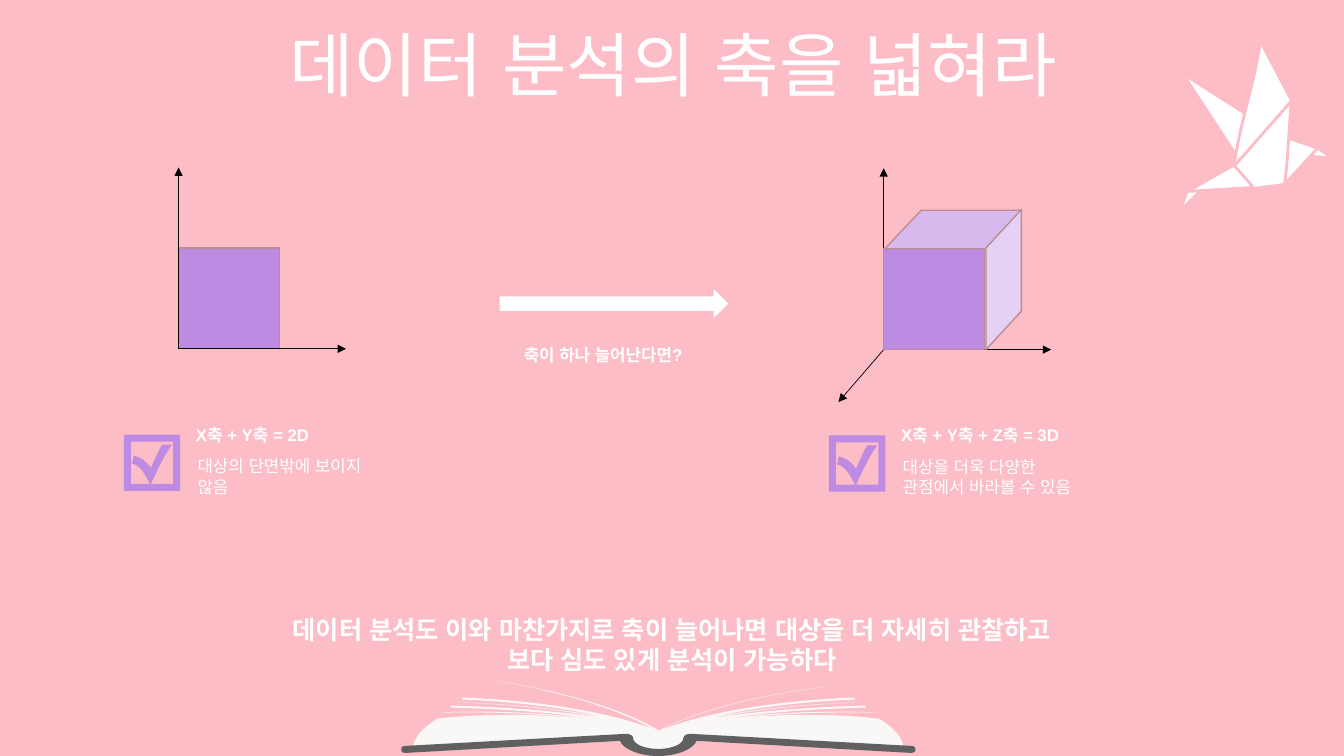
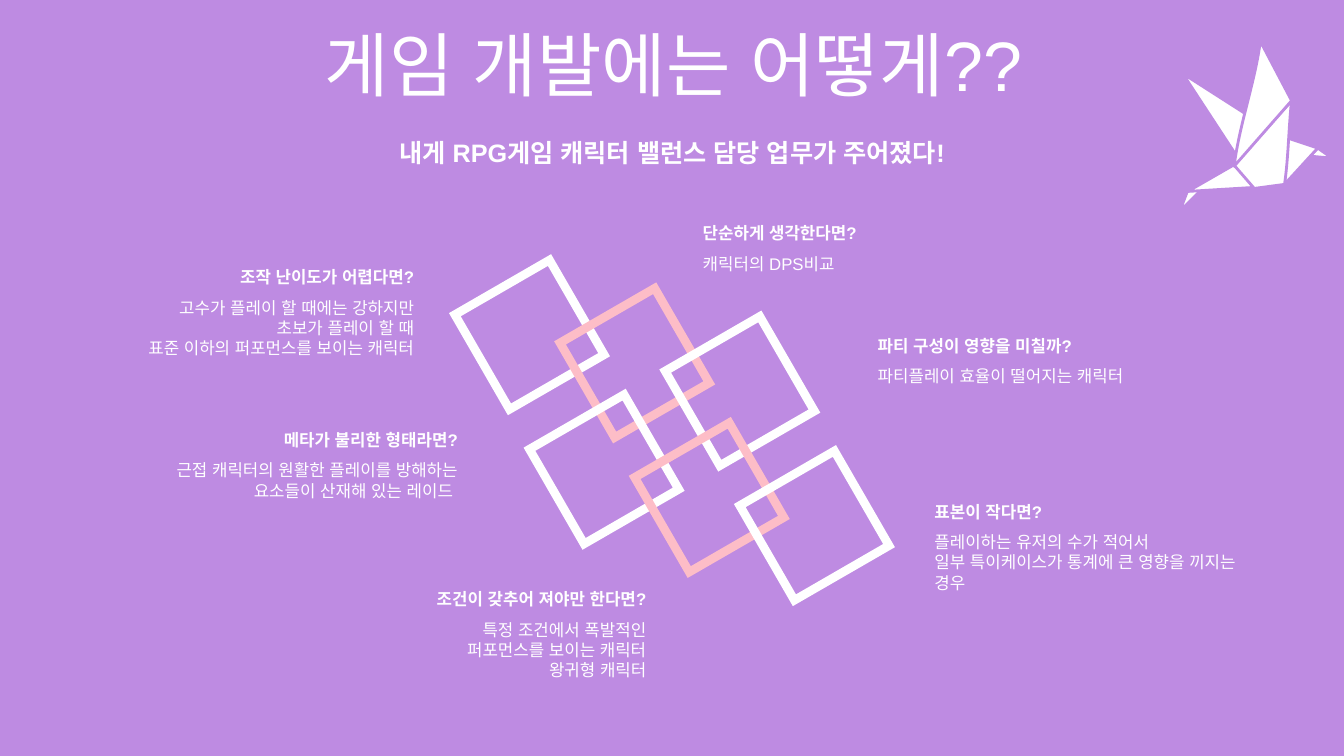
from dataclasses import dataclass

from lxml.etree import SubElement
from pptx import Presentation
from pptx.dml.color import RGBColor
from pptx.enum.shapes import MSO_CONNECTOR, MSO_SHAPE as Shape
from pptx.enum.text import MSO_ANCHOR, PP_ALIGN as Align
from pptx.oxml.ns import qn
from pptx.util import Cm, Pt


@dataclass(frozen=True)
class Theme:
    pink: str = "FDBDC7"
    purple: str = "BE8BE2"
    top_face: str = "D8B9EE"
    side_face: str = "E5D1F3"
    edge: str = "BB8C93"
    white: str = "FFFFFF"
    black: str = "000000"
    paper: str = "F9F8F7"
    cover: str = "606060"
    font: str = "Arial"
    title: int = 50
    lead: int = 18
    body: int = 12


T = Theme()
WIDTH, HEIGHT = 33.87, 19.05
UNIT = Cm(0.0254)  # grid step of the outlines below

# Content: lengths in cm
AXES_TITLE = "데이터 분석의 축을 넓혀라"
QUESTION = "축이 하나 늘어난다면?"
CONCLUSION = ["데이터 분석도 이와 마찬가지로 축이 늘어나면 대상을 더 자세히 관찰하고",
              "보다 심도 있게 분석이 가능하다"]
SQUARE_NOTE = ("X축 + Y축 = 2D", "대상의 단면밖에 보이지 않음")
CUBE_NOTE = ("X축 + Y축 + Z축 = 3D", "대상을 더욱 다양한 관점에서 바라볼 수 있음")

GAME_TITLE = "게임 개발에는 어떻게??"
GAME_LEAD = "내게 RPG게임 캐릭터 밸런스 담당 업무가 주어졌다!"
GAME_NOTES = [  # left, top, alignment, heading, lines
    (17.46, 5.49, Align.LEFT, "단순하게 생각한다면?", ["캐릭터의 DPS비교"]),
    (21.87, 8.33, Align.LEFT, "파티 구성이 영향을 미칠까?",
     ["파티플레이 효율이 떨어지는 캐릭터"]),
    (2.7, 10.7, Align.RIGHT, "메타가 불리한 형태라면?",
     ["근접 캐릭터의 원활한 플레이를 방해하는 요소들이 산재해 있는 레이드 "]),
    (7.45, 14.71, Align.RIGHT, "조건이 갖추어 져야만 한다면?",
     ["특정 조건에서 폭발적인", "퍼포먼스를 보이는 캐릭터", "왕귀형 캐릭터"]),
    (1.6, 6.6, Align.RIGHT, "조작 난이도가 어렵다면?",
     ["고수가 플레이 할 때에는 강하지만", "초보가 플레이 할 때",
      "표준 이하의 퍼포먼스를 보이는 캐릭터"]),
    (23.3, 12.51, Align.LEFT, "표본이 작다면?",
     ["플레이하는 유저의 수가 적어서",
      "일부 특이케이스가 통계에 큰 영향을 끼지는 경우"]),
]

# Outlines in grid units: a pair is a corner, six numbers are a Bézier curve
BIRD = [
    [(23, 146), (0, 169), (8, 148)],
    [(8, 149), (55, 122), (74, 145)],
    [(137, 106), (151, 116), (129, 114)],
    [(107, 96), (137, 106), (104, 142)],
    [(3, 32), (67, 73), (56, 113)],
    [(74, 146), (104, 142), (108, 115, 108, 86, 111, 59), (54, 123)],
    [(111, 59), (80, 0), (75, 40, 59, 83, 54, 124)],
]
TICK_BOX = [
    [(7, 7), (7, 49), (26, 49), (22, 42, 17, 30, 8, 29), (10, 21),
     (20, 24, 22, 27, 27, 33), (31, 24, 33, 19, 38, 10), (48, 10),
     (40, 21, 33, 36, 27, 49), (49, 49), (49, 7)],
    [(0, 0), (56, 0), (56, 56), (0, 56)],
]
HALF_PAGES = [(0, -23), (80, -46, 181, -42, 219, -37),
              (219, -37, 242, -25, 244, -7), (32, -20),
              (32, -11, 18, -4, 0, -4)]
HALF_COVER = [(0, 0), (19, 0, 35, -7, 38, -15), (251, -3),
              (253, -3, 255, -4, 255, -5), (255, -8),
              (255, -9, 253, -10, 251, -10), (32, -22),
              (28, -22, 25, -20, 25, -18), (25, -12, 14, -7, 0, -7)]
LOWER_LEAVES = [(6, -27), (14, -30, 28, -35, 49, -40),
                (80, -47, 124, -55, 194, -58), (195, -56),
                (125, -53, 82, -45, 51, -38), (42, -36),
                (120, -53, 202, -53, 203, -53),
                (202, -53, 116, -52, 38, -34), (47, -36),
                (78, -42, 130, -48, 206, -50), (206, -48),
                (131, -46, 79, -40, 49, -34), (47, -34),
                (124, -47, 212, -44, 214, -43),
                (212, -43, 115, -46, 36, -31), (12, -26, 1, -22, 1, -21)]
TOP_LEAVES = {  # side: outline that the lower leaves continue
    -1: [(-1, -24), (1, -26), (58, -60, 159, -74, 161, -75),
         (160, -74, 63, -60, 6, -27)],
    1: [(-2, -24), (9, -29), (71, -58, 167, -69, 168, -69),
        (166, -69, 66, -58, 4, -27)],
}


def rgb(color):
    return RGBColor.from_string(color)


def paint(s, fill, line=None, width=1):
    s.shadow.inherit = False
    s.fill.solid()
    s.fill.fore_color.rgb = rgb(fill)
    if line:
        s.line.color.rgb = rgb(line)
        s.line.width = Pt(width)
    else:
        s.line.fill.background()
    return s


def add_preset(slide, kind, left, top, width, height, fill, line=None, adj=None):
    s = slide.shapes.add_shape(kind, Cm(left), Cm(top), Cm(width), Cm(height))
    if adj is not None:
        s.adjustments[0] = adj
    return paint(s, fill, line)


def add_text(slide, left, top, width, height, lines, size=T.body, bold=False,
             align=Align.LEFT):
    tf = slide.shapes.add_textbox(Cm(left), Cm(top), Cm(width), Cm(height)).text_frame
    tf.word_wrap = True
    tf.text = "\n".join(lines)
    for p in tf.paragraphs:
        p.alignment = align
        font = p.font
        font.name, font.size, font.bold = T.font, Pt(size), bold
        font.color.rgb = rgb(T.white)
        SubElement(font._rPr, qn("a:ea"), typeface=T.font)
    return tf


def add_note(slide, left, top, width, heading, lines, align=Align.LEFT,
             indent=0, gap=0.77):
    add_text(slide, left, top, width, 0.76, [heading], bold=True, align=align)
    add_text(slide, left + indent, top + gap, width, 0.76 + 0.52 * (len(lines) - 1),
             lines, align=align)


def add_axis(slide, x, y, dx, dy):
    line = slide.shapes.add_connector(MSO_CONNECTOR.STRAIGHT, Cm(x), Cm(y),
                                      Cm(x + dx), Cm(y + dy))
    line.line.color.rgb = rgb(T.black)
    line.line.width = Pt(0.5)
    SubElement(line.line._get_or_add_ln(), qn("a:tailEnd"), type="triangle")
    SubElement(line._element.spPr, qn("a:effectLst"))


def pairs(part):
    return list(zip(part[::2], part[1::2]))


def reflect(outline):
    """Flip an outline in the vertical axis."""
    return [tuple(n if i % 2 else -n for i, n in enumerate(part)) for part in outline]


def mirrored(half):
    """Close a right-hand outline with its reflection, run backwards."""
    back = [half[-1][-2:]]
    for before, part in zip(half[-2::-1], half[:0:-1]):
        controls = pairs(part)[-2::-1]
        back.append(sum(controls, ()) + before[-2:])
    return half + reflect(back)


def add_outline(slide, left, top, contours, fill, line=None, width=1):
    """Draw closed contours, with each six-number part as one true curve."""
    builder = None
    for contour in contours:
        first, *rest = [(x * UNIT, y * UNIT) for part in contour for x, y in pairs(part)]
        if builder:
            builder.move_to(*first)
        else:
            builder = slide.shapes.build_freeform(*first)
        builder.add_line_segments(rest, close=True)
    s = paint(builder.convert_to_shape(Cm(left), Cm(top)), fill, line, width)

    segments = iter(list(s._element.iter(qn("a:lnTo"))))
    for contour in contours:
        for part in contour[1:]:
            segment = next(segments)
            if len(part) == 6:
                segment.tag = qn("a:cubicBezTo")
                for _ in range(2):
                    extra = next(segments)
                    segment.append(extra[0])
                    extra.getparent().remove(extra)


def add_slide(prs, title, background):
    slide = prs.slides.add_slide(prs.slide_layouts[6])
    slide.background.fill.solid()
    slide.background.fill.fore_color.rgb = rgb(background)
    tf = add_text(slide, 0.89, 0.79, 32.16, 2.01, [title], T.title, align=Align.CENTER)
    tf.vertical_anchor = MSO_ANCHOR.MIDDLE
    p = tf.paragraphs[0]
    p.line_spacing, p.space_before = 0.8, Pt(10)
    for piece in BIRD:
        add_outline(slide, 29.73, 1.04, [piece], T.white, background, 2)
    return slide


def add_checked_note(slide, x, y, note):
    """Place a ticked box and its note below the axes that cross at x, y."""
    add_outline(slide, x - 1.38, y + 2.16, TICK_BOX, T.purple)
    heading, line = note
    add_note(slide, x + 0.19, y + 1.78, 5.36, heading, [line], indent=0.04, gap=0.8)


def add_book(slide):
    spine = 16.59
    for half, color in ((HALF_PAGES, T.paper), (HALF_COVER, T.cover)):
        add_outline(slide, spine, HEIGHT, [mirrored(half)], color)
    for side, top_leaf in TOP_LEAVES.items():
        leaves = top_leaf + LOWER_LEAVES
        add_outline(slide, spine, HEIGHT, [leaves if side > 0 else reflect(leaves)],
                    T.paper)


def build_axes_slide(prs):
    slide = add_slide(prs, AXES_TITLE, T.pink)
    side, up, right = 2.54, (0, -4.57), (4.22, 0)

    x, y = 4.5, 8.79
    add_preset(slide, Shape.RECTANGLE, x, y - side, side, side, T.purple, T.edge)
    for axis in (up, right):
        add_axis(slide, x, y, *axis)
    add_checked_note(slide, x, y, SQUARE_NOTE)

    x, y = 22.27, 8.81
    for axis in (up, right, (-1.14, 1.32)):
        add_axis(slide, x, y, *axis)
    add_preset(slide, Shape.RECTANGLE, x, y - side, side, side, T.purple, T.edge)
    add_preset(slide, Shape.PARALLELOGRAM, x + 0.03, y - side - 0.97, 3.45, 0.97,
               T.top_face, T.edge, 0.944)
    face = add_preset(slide, Shape.PARALLELOGRAM, x + 1.26, y - 2.21, 3.53, 0.89,
                      T.side_face, T.edge, 1.087)
    face.rotation = 90
    face._element.spPr.xfrm.set("flipV", "1")
    add_checked_note(slide, x, y, CUBE_NOTE)

    add_preset(slide, Shape.RIGHT_ARROW, 12.61, 7.32, 5.72, 0.66, T.white, T.white)
    add_text(slide, 12.95, 8.56, 5.33, 0.76, [QUESTION], bold=True)
    add_text(slide, 0, 15.36, WIDTH, 1.8, CONCLUSION, T.lead, True, Align.CENTER)
    add_book(slide)


def build_game_slide(prs):
    slide = add_slide(prs, GAME_TITLE, T.purple)
    add_text(slide, 0, 3.33, WIDTH, 1.02, [GAME_LEAD], T.lead, True, Align.CENTER)
    for row in range(2):
        for col, color in enumerate((T.white, T.pink, T.white)):
            frame = add_preset(slide, Shape.FRAME, 11.86 + 2.65 * col + 1.88 * row,
                               6.95 + 0.71 * col + 3.39 * row, 2.97, 2.97, color,
                               adj=0.073)
            frame.rotation = 330
    for left, top, align, heading, lines in GAME_NOTES:
        width = 8.81 if align == Align.LEFT else 9.09
        add_note(slide, left, top, width, heading, lines, align)


def main():
    prs = Presentation()
    prs.slide_width, prs.slide_height = Cm(WIDTH), Cm(HEIGHT)
    build_axes_slide(prs)
    build_game_slide(prs)
    prs.save("out.pptx")


if __name__ == "__main__":
    main()
